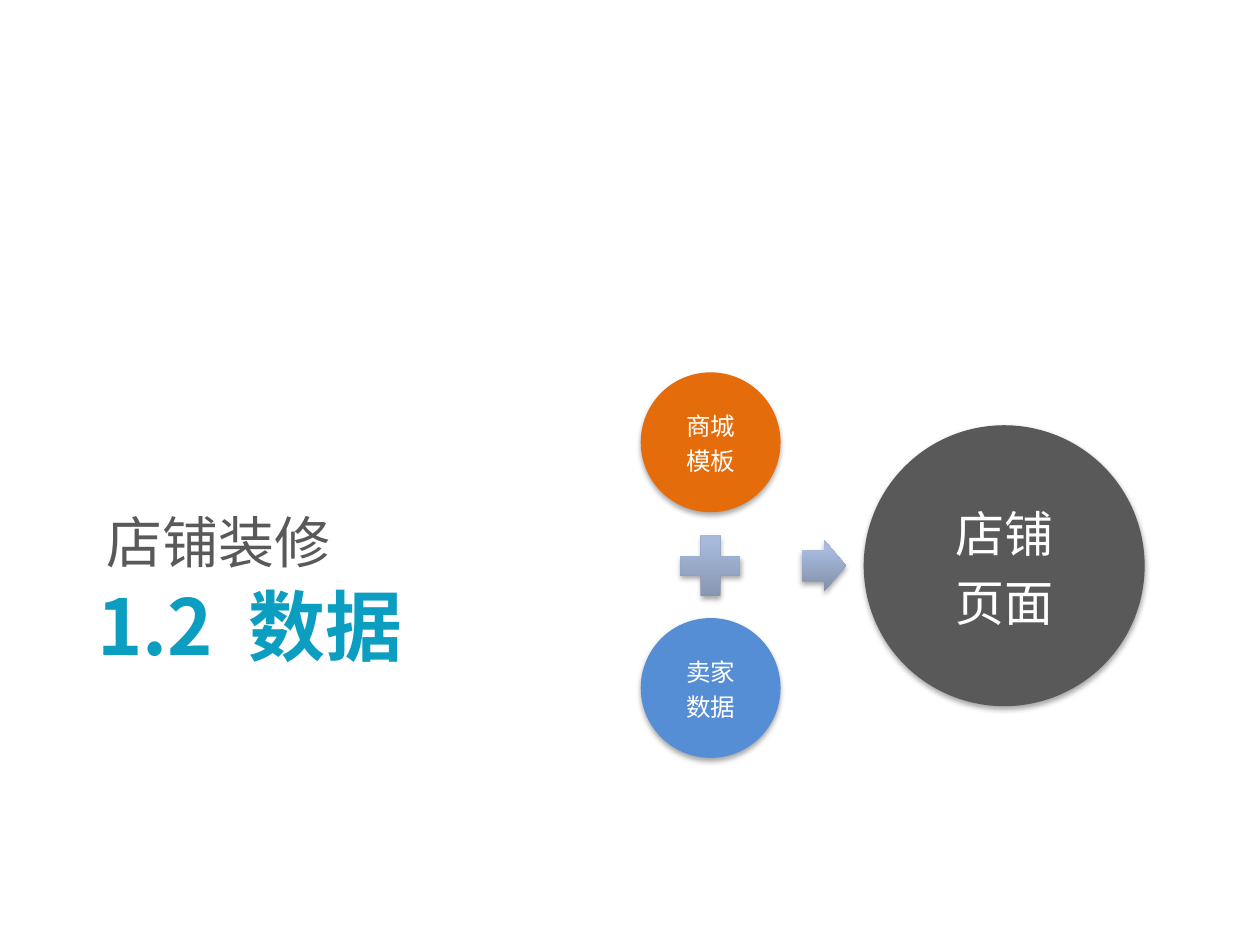
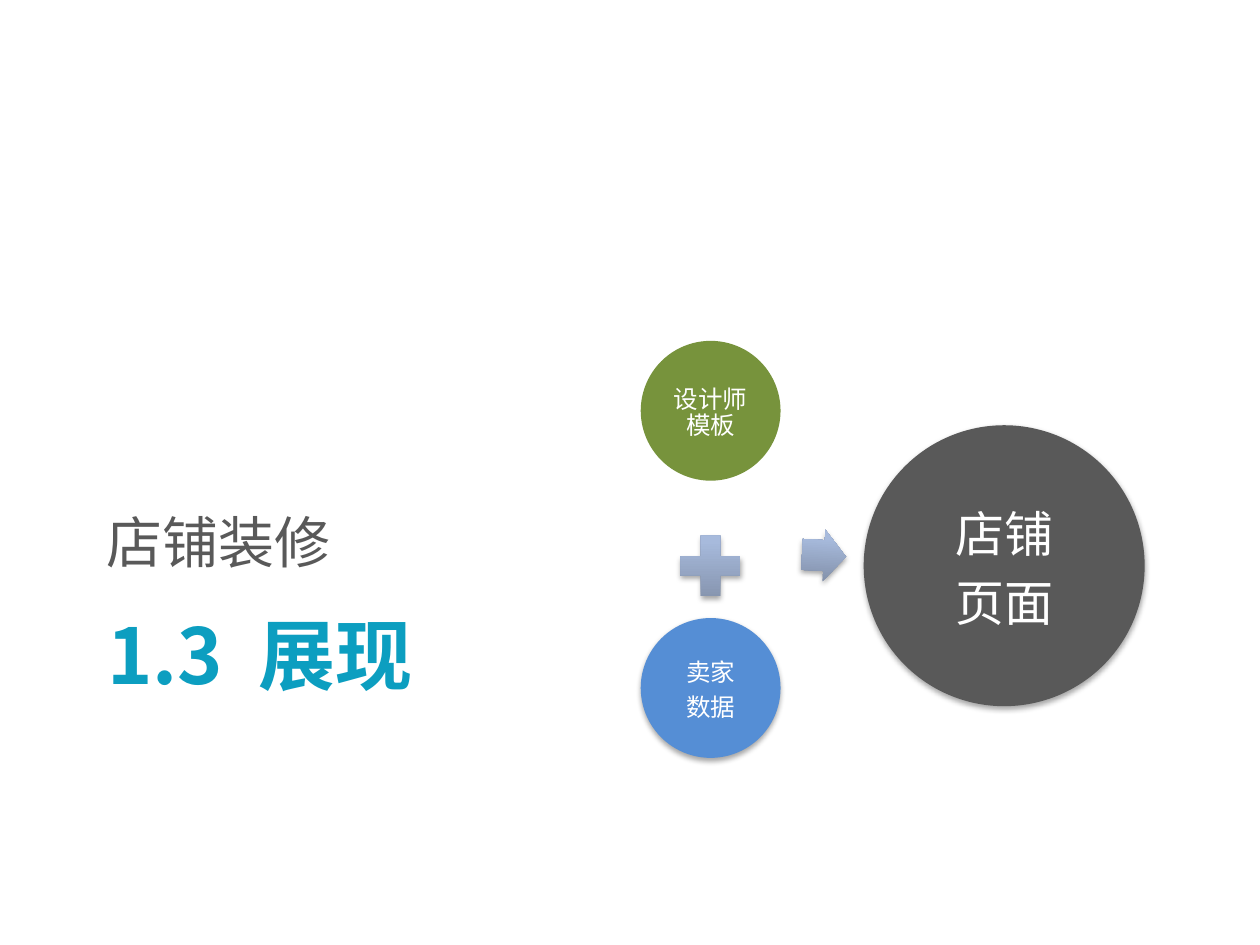
from lxml import etree
from pptx import Presentation
from pptx import util as u
from pptx.dml import color as dml
from pptx.enum import shapes, text
from pptx.oxml import ns

FONT = "Noto Sans CJK SC"
TEAL, GRAY, WHITE, BLUE = "0C9EC0", "595959", "FFFFFF", "558ED5"
ORANGE, GREEN = "E46C0A", "77933C"
SIGN_DARK, SIGN_LIGHT = "818FA8", "A7BADC"

SECTION = "店铺装修"
SLIDES = [
    {
        "number": "1.2", "topic": "数据", "title_at": (0.67, 4.54),
        "template": {"lines": ["商城", "模板"], "color": ORANGE, "middle": 3.51, "shadow": True},
        "arrow": {"middle": 4.49, "rotation": 0},
    },
    {
        "number": "1.3", "topic": "展现", "title_at": (0.75, 4.77),
        "template": {"lines": ["设计师模板"], "color": GREEN, "middle": 3.26, "shadow": False},
        "arrow": {"middle": 4.41, "rotation": 3.1},
    },
]
SELLER_LINES = ["卖家", "数据"]
PAGE_LINES = ["店铺", "页面"]

INPUT_CENTER, ARROW_CENTER, PAGE_CENTER = 5.64, 6.54, 7.97
SIGN_MIDDLE, SELLER_MIDDLE = 4.49, 5.46
INPUT_SIZE, PAGE_SIZE, PLUS_SIZE = 1.11, 2.23, 0.65
ARROW_WIDTH, ARROW_HEIGHT = 0.35, 0.41


def rgb(value):
    """Turn a hex string into a colour."""
    return dml.RGBColor.from_string(value)


def write(paragraph, words, size, color, bold=False, spacing=0):
    """Add a formatted run to a paragraph."""
    run = paragraph.add_run()
    run.text = words
    run.font.size = u.Pt(size)
    run.font.name = FONT
    run.font.bold = bold
    run.font.color.rgb = rgb(color)
    properties = run.font._element
    etree.SubElement(properties, ns.qn("a:ea"), typeface=FONT)
    if spacing:
        properties.set("spc", str(spacing * 100))


def cast_shadow(shape):
    """Give a shape a soft shadow straight below it."""
    effects = shape._element.spPr.find(ns.qn("a:effectLst"))
    shadow = etree.SubElement(
        effects, ns.qn("a:outerShdw"), blurRad=str(u.Pt(3.1)), dist=str(u.Pt(1.8)),
        dir="5400000", rotWithShape="0")
    black = etree.SubElement(shadow, ns.qn("a:srgbClr"), val="000000")
    etree.SubElement(black, ns.qn("a:alpha"), val="35000")


def add_centered(slide, kind, center, middle, width, height, shadow=True):
    """Add an unlined shape around a centre point."""
    shape = slide.shapes.add_shape(
        kind, u.Inches(center - width / 2), u.Inches(middle - height / 2),
        u.Inches(width), u.Inches(height))
    shape.line.fill.background()
    shape.shadow.inherit = False
    if shadow:
        cast_shadow(shape)
    return shape


def add_circle(slide, lines, color, center, middle, diameter, size, shadow=True):
    """Add a coloured circle with centred lines of text."""
    circle = add_centered(
        slide, shapes.MSO_SHAPE.OVAL, center, middle, diameter, diameter, shadow)
    circle.fill.solid()
    circle.fill.fore_color.rgb = rgb(color)
    frame = circle.text_frame
    frame.word_wrap = True
    frame.vertical_anchor = text.MSO_ANCHOR.MIDDLE
    frame.margin_left = frame.margin_right = u.Inches(0.02)
    frame.margin_top, frame.margin_bottom = u.Pt(size * 0.2), 0
    for index, line in enumerate(lines):
        paragraph = frame.add_paragraph() if index else frame.paragraphs[0]
        paragraph.alignment = text.PP_ALIGN.CENTER
        paragraph.line_spacing = u.Pt(round(size * 1.07))
        paragraph.space_before = u.Pt(size * 0.35 if index else 0)
        write(paragraph, line, size, WHITE)


def add_sign(slide, kind, center, middle, width, height):
    """Add a plus or arrow with the shared gradient."""
    sign = add_centered(slide, kind, center, middle, width, height)
    sign.fill.gradient()
    sign.fill.gradient_angle = 90
    stops = sign.fill.gradient_stops
    for stop, color, position in zip(stops, (SIGN_DARK, SIGN_LIGHT), (0, 0.8)):
        stop.color.rgb = rgb(color)
        stop.position = position
    return sign


def add_heading(slide, content):
    """Place the numbered title and the section name."""
    title = slide.shapes.title
    left, top = content["title_at"]
    title.left, title.top = u.Inches(left), u.Inches(top)
    title.width, title.height = u.Inches(8.5), u.Inches(1.49)
    section = slide.shapes.add_textbox(
        u.Inches(0.75), u.Inches(0.78), u.Inches(8.5), u.Inches(3.83))
    for shape, anchor in ((title, text.MSO_ANCHOR.TOP), (section, text.MSO_ANCHOR.BOTTOM)):
        frame = shape.text_frame
        frame.word_wrap = True
        frame.auto_size = text.MSO_AUTO_SIZE.NONE
        frame.vertical_anchor = anchor
        frame.paragraphs[0].alignment = text.PP_ALIGN.LEFT
    paragraph = title.text_frame.paragraphs[0]
    for words, spacing in ((content["number"], 0), (" ", 10), (content["topic"], 0)):
        write(paragraph, words, 44, TEAL, bold=True, spacing=spacing)
    paragraph = section.text_frame.paragraphs[0]
    paragraph.line_spacing = 1.5
    write(paragraph, SECTION, 32, GRAY)


def add_equation(slide, content):
    """Draw template plus seller data leading to the shop page."""
    template, arrow = content["template"], content["arrow"]
    add_circle(slide, template["lines"], template["color"], INPUT_CENTER,
               template["middle"], INPUT_SIZE, 14, template["shadow"])
    add_sign(slide, shapes.MSO_SHAPE.MATH_PLUS, INPUT_CENTER, SIGN_MIDDLE,
             PLUS_SIZE, PLUS_SIZE)
    add_circle(slide, SELLER_LINES, BLUE, INPUT_CENTER, SELLER_MIDDLE, INPUT_SIZE, 14)
    sign = add_sign(slide, shapes.MSO_SHAPE.RIGHT_ARROW, ARROW_CENTER, arrow["middle"],
                    ARROW_WIDTH, ARROW_HEIGHT)
    sign.adjustments[0], sign.adjustments[1] = 0.6, 0.5
    sign.rotation = arrow["rotation"]
    add_circle(slide, PAGE_LINES, GRAY, PAGE_CENTER, SIGN_MIDDLE, PAGE_SIZE, 28)


def main():
    """Build and save the presentation."""
    presentation = Presentation()
    presentation.slide_width, presentation.slide_height = u.Inches(10), u.Inches(7.5)
    for content in SLIDES:
        slide = presentation.slides.add_slide(presentation.slide_layouts[5])
        add_heading(slide, content)
        add_equation(slide, content)
    presentation.save("out.pptx")


if __name__ == "__main__":
    main()
